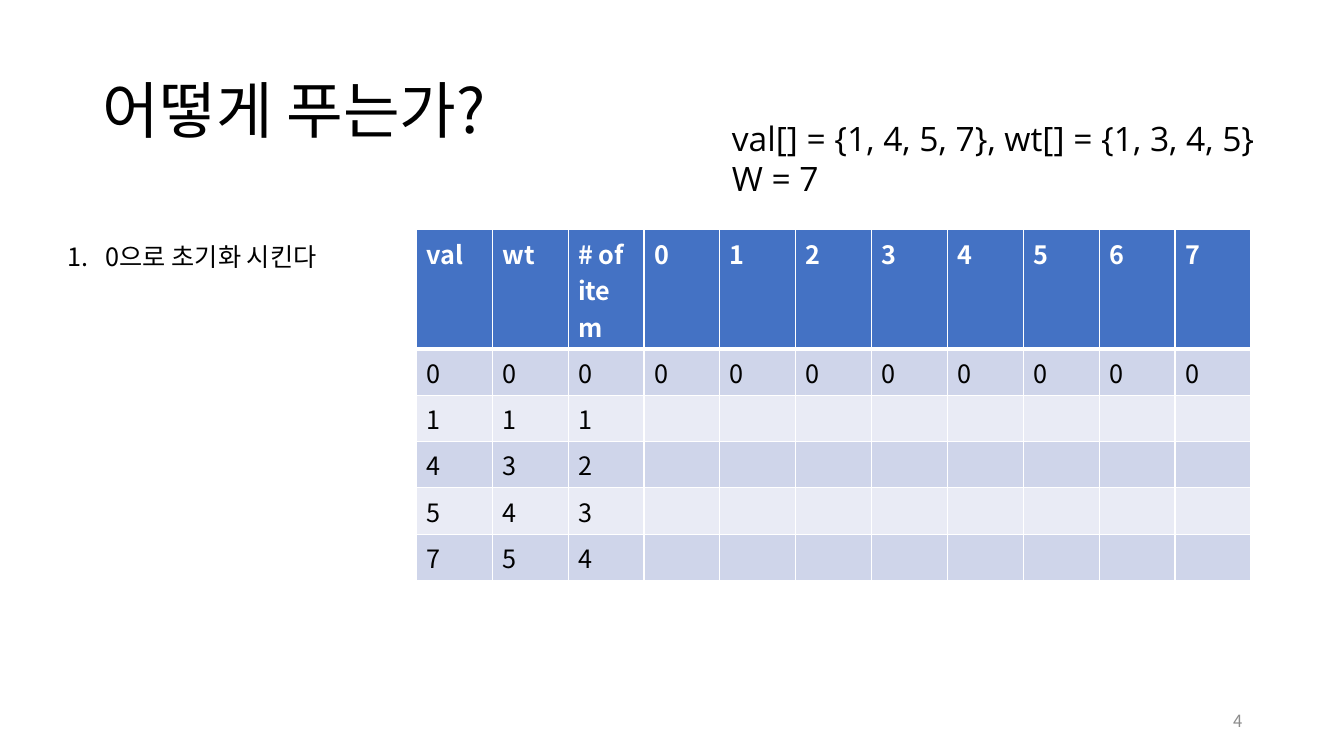
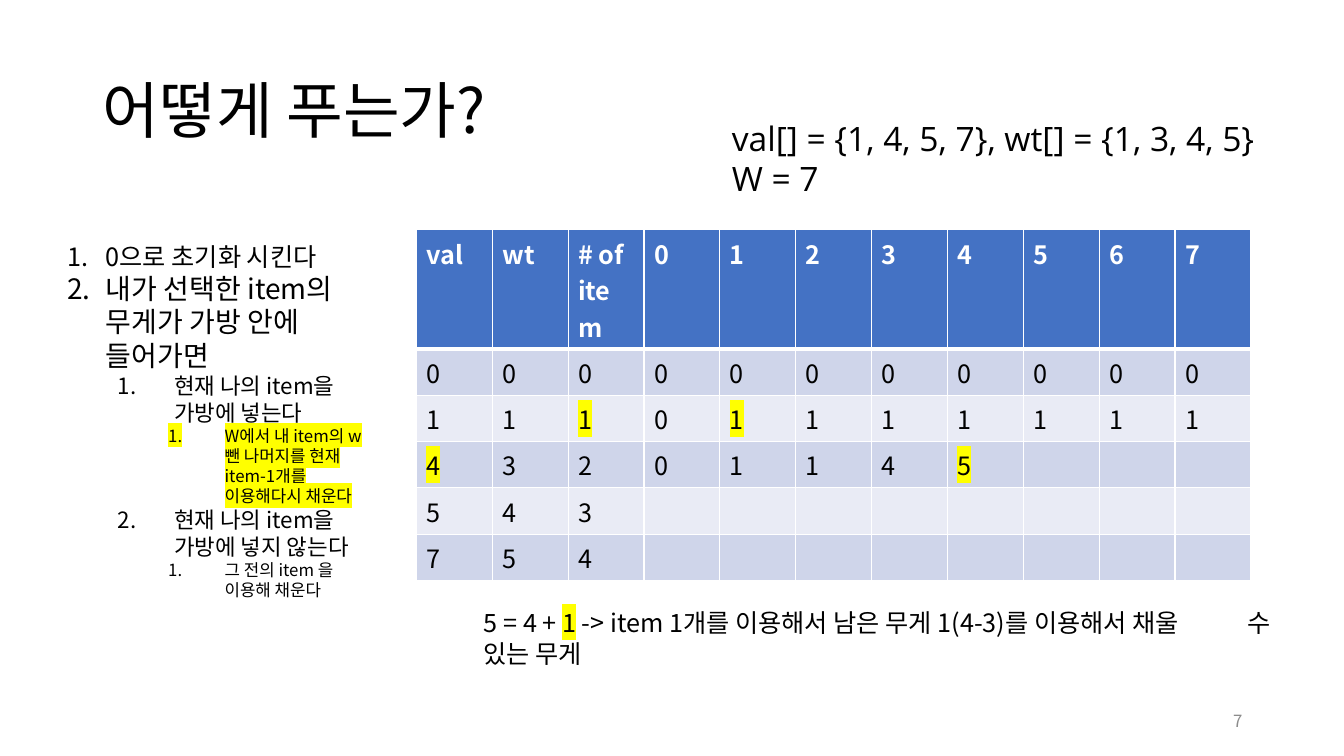
from lxml.etree import SubElement
from pptx import Presentation
from pptx.dml.color import RGBColor
from pptx.enum.text import MSO_ANCHOR, PP_ALIGN
from pptx.oxml.ns import qn
from pptx.util import Emu, Pt

SCALE = 9144  # EMU per px, 100 px to the inch
KOR, LAT = "Noto Sans CJK KR", "Open Sans"
COLORS = {"ink": "000000", "white": "FFFFFF", "head": "4472C4", "odd": "CFD5EA",
          "even": "E9EBF5", "mark": "FFFF00", "grey": "8C8C8C"}
FONTS = {
    "title": {"size": Pt(44), "name": KOR},
    "given": {"size": Pt(24), "name": LAT},
    "text": {"size": Pt(18), "name": KOR},
    "head": {"size": Pt(18), "name": KOR, "bold": True},
    "step": {"size": Pt(20), "name": KOR},
    "sub": {"size": Pt(16), "name": KOR},
    "leaf": {"size": Pt(12), "name": KOR},
}
INDENTS = ((38, 38), (106, 56), (156, 56))  # left edge and hang per level


def px(num):
    return Emu(round(num * SCALE))


def tint(parent, color):
    SubElement(parent, qn("a:srgbClr"), val=COLORS[color])


class Deck:
    def __init__(self):
        self.prs = Presentation()
        self.prs.slide_width, self.prs.slide_height = px(1333), px(750)
        self.slide = None

    def page(self):
        self.slide = self.prs.slides.add_slide(self.prs.slide_layouts[6])

    def run(self, para, text, style, color="ink", mark=False):
        for i, part in enumerate(text.split("\n")):
            if i:
                para.add_line_break()
            run = para.add_run()
            run.text = part
            for key, val in FONTS[style].items():
                setattr(run.font, key, val)
            run.font.color.rgb = RGBColor.from_string(COLORS[color])
            props = run._r.get_or_add_rPr()
            props.find(qn("a:latin")).addnext(
                props.makeelement(qn("a:ea"), {"typeface": FONTS[style]["name"]}))
            if mark:
                glow = props.makeelement(qn("a:highlight"), {})
                tint(glow, "mark")
                props.find(qn("a:solidFill")).addnext(glow)

    def box(self, left, top, width, height, **form):
        frame = self.slide.shapes.add_textbox(*map(px, (left, top, width, height))).text_frame
        for key, val in {"word_wrap": True, **form}.items():
            setattr(frame, key, val)
        return frame

    def label(self, area, text, style, color="ink", form=None, **para):
        first = self.box(*area, **(form or {})).paragraphs[0]
        for key, val in para.items():
            setattr(first, key, val)
        self.run(first, text, style, color)

    def steps(self, area, items):
        frame = self.box(*area)
        for i, (level, style, text, mark) in enumerate(items):
            para = frame.add_paragraph() if i else frame.paragraphs[0]
            para.level = level
            left, hang = INDENTS[level]
            props = para._p.get_or_add_pPr()
            props.set("marL", str(px(left)))
            props.set("indent", str(px(-hang)))
            SubElement(props, qn("a:buAutoNum"), type="arabicPeriod")
            self.run(para, text, style, mark=mark)

    def note(self, area, parts, tab):
        para = self.box(*area).paragraphs[0]
        stops = SubElement(para._p.get_or_add_pPr(), qn("a:tabLst"))
        SubElement(stops, qn("a:tab"), pos=str(px(tab)), algn="l")
        for text, mark in parts:
            self.run(para, text, "text", mark=mark)

    def edges(self, cell, row):
        thick = {"lnT": 3 if row == 1 else 1, "lnB": 3 if row == 0 else 1}
        for side in ("lnL", "lnR", "lnT", "lnB"):
            line = SubElement(cell._tc.get_or_add_tcPr(), qn("a:" + side),
                              w=str(Pt(thick.get(side, 1))))
            tint(SubElement(line, qn("a:solidFill")), "white")

    def grid(self, left, top, width, tall, high, rows, marks):
        count = len(rows[0])
        table = self.slide.shapes.add_table(
            len(rows), count, px(left), px(top), px(width),
            px(tall + high * (len(rows) - 1))).table
        for col in table.columns:
            col.width = px(width / count)
        for r, row in enumerate(rows):
            table.rows[r].height = px(high if r else tall)
            shade = ("odd" if r % 2 else "even") if r else "head"
            style, color = ("text", "ink") if r else ("head", "white")
            for c, text in enumerate(row):
                cell = table.cell(r, c)
                self.edges(cell, r)
                cell.fill.solid()
                cell.fill.fore_color.rgb = RGBColor.from_string(COLORS[shade])
                if text:
                    self.run(cell.text_frame.paragraphs[0], text, style, color, (r, c) in marks)


# Content
HEAD = ["val", "wt", "# of item", *"01234567"]
ITEMS = ((0, 0), (1, 1), (4, 3), (5, 4), (7, 5))  # value and weight
START = (0, "text", "0으로 초기화 시킨다", False)
PAGES = (
    {"num": "4", "fill": ("0" * 8,), "marks": (), "steps": (START,), "note": ()},
    {"num": "7", "fill": ("0" * 8, "01111111", "01145"),
     "marks": ((2, 2), (2, 4), (3, 0), (3, 7)),
     "steps": (
         START,
         (0, "step", "내가 선택한 item의 무게가 가방 안에 들어가면", False),
         (1, "sub", "현재 나의 item을 가방에 넣는다", False),
         (2, "leaf", "W에서 내 item의 w 뺀 나머지를 현재 item-1개를 이용해다시 채운다", True),
         (1, "sub", "현재 나의 item을 가방에 넣지 않는다", False),
         (2, "leaf", "그 전의 item 을 이용해 채운다", False)),
     "note": (("5 = 4 + ", False), ("1", True),
              (" -> item 1개를 이용해서 남은 무게 1(4-3)를 이용해서 채울\t수 있는 무게", False))},
)


def build(deck, data):
    deck.page()
    middle = {"vertical_anchor": MSO_ANCHOR.MIDDLE}
    # Title and given values
    deck.label((92, 40, 1150, 145), "어떻게 푸는가?", "title", form=middle, line_spacing=0.9)
    deck.label((716, 112, 667, 91), "val[] = {1, 4, 5, 7}, wt[] = {1, 3, 4, 5}\nW = 7", "given")
    # Table of best values, with a head row of three lines
    rows = [HEAD]
    for i, pair in enumerate(ITEMS):
        best = data["fill"][i] if i < len(data["fill"]) else ""
        rows.append([*map(str, pair), str(i), *best, *[""] * (8 - len(best))])
    deck.grid(413, 228, 828, 118, 46, rows, data["marks"])
    # Steps, note and page number
    deck.steps((57, 234, 326, 401), data["steps"])
    if data["note"]:
        deck.note((470, 598, 810, 71), data["note"], 757)
    deck.label((942, 695, 300, 40), data["num"], "leaf", "grey", middle, alignment=PP_ALIGN.RIGHT)


def main():
    deck = Deck()
    for data in PAGES:
        build(deck, data)
    deck.prs.save("out.pptx")


if __name__ == "__main__":
    main()
